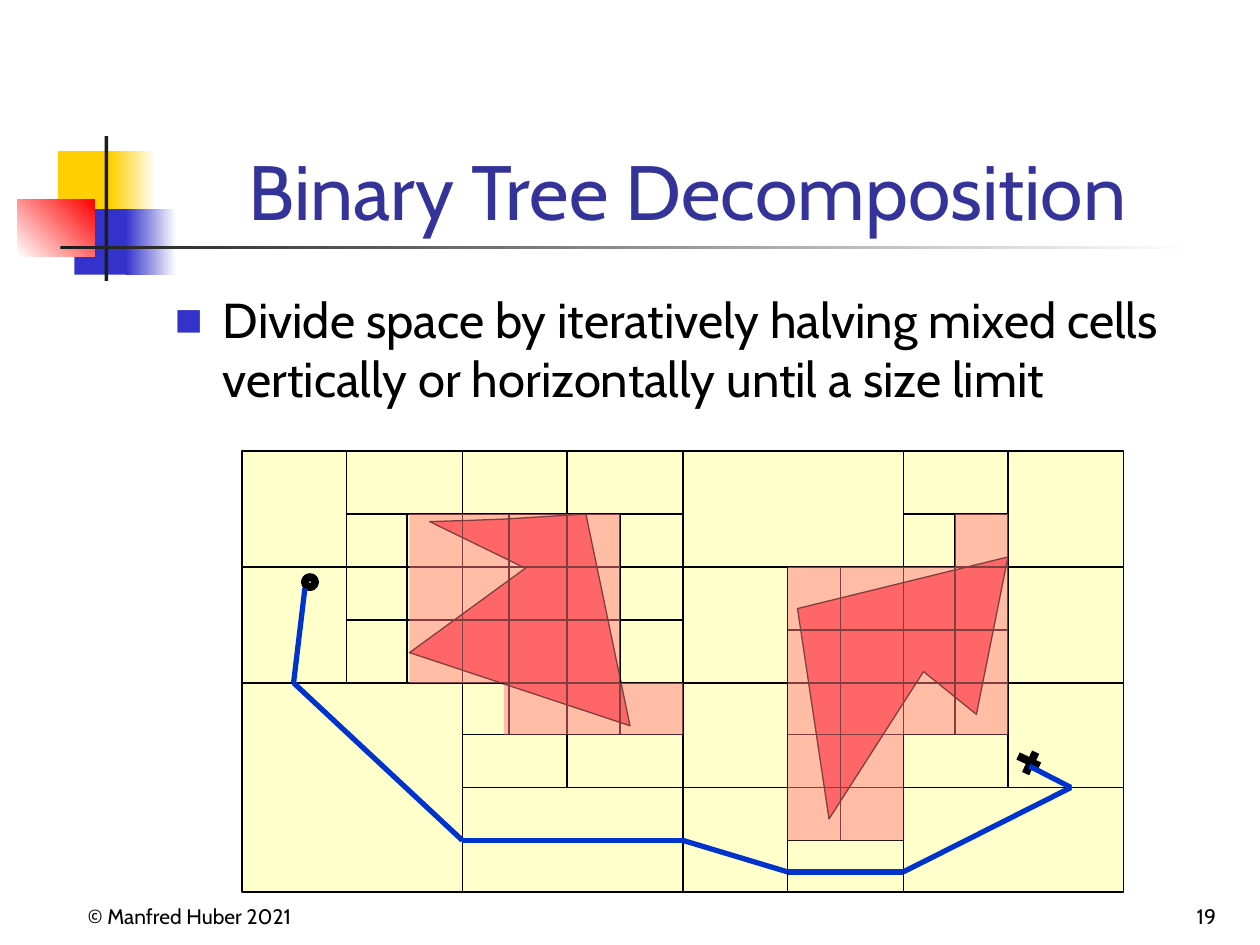
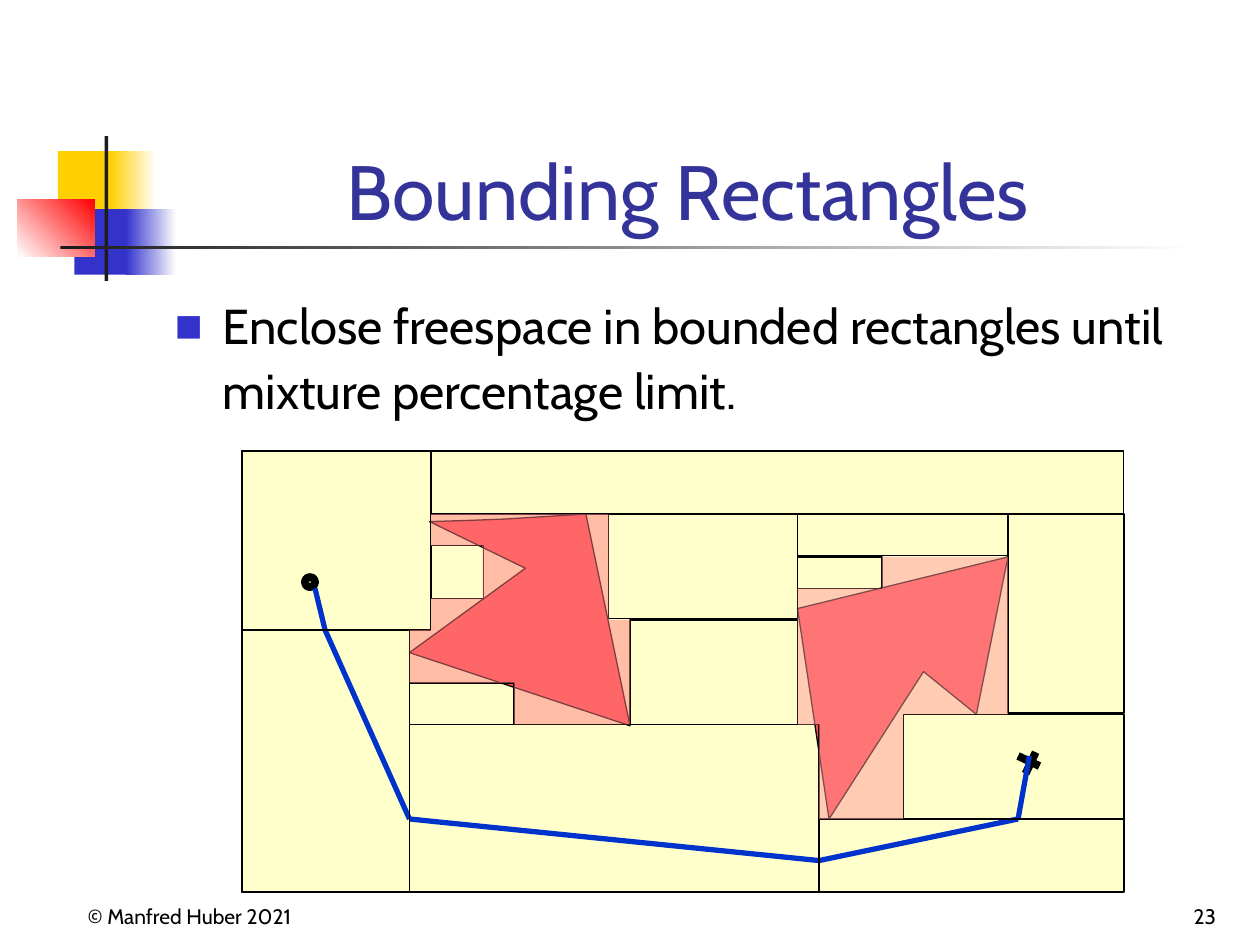
from itertools import pairwise

from lxml.etree import SubElement
from pptx import Presentation
from pptx.dml.color import RGBColor
from pptx.enum.shapes import MSO_CONNECTOR, MSO_SHAPE
from pptx.enum.text import MSO_ANCHOR, PP_ALIGN
from pptx.oxml.ns import qn
from pptx.util import Inches, Pt

FONT = "Cabin"
BLACK, WHITE, DARK = "000000", "FFFFFF", "1C1C1C"
GOLD, BLUE, RED = "FFCF01", "3333CC", "FF0000"
TITLE, ROUTE = "333399", "0033CC"
FREE, BLOCK = "FFFFCC", "FF5050"
THIN, ROUTE_WIDTH, MARK_WIDTH = 0.75, 3, 4.5

# Map edges and the two obstacles
LEFT, TOP, RIGHT, BASE = 1.92, 3.58, 8.92, 7.08
NOTCHED = [(4.65, 4.08), (4, 4.12), (3.74, 4.13), (3.41, 4.14),
           (4.17, 4.51), (3.25, 5.18), (5, 5.76)]
HOOKED = [(6.33, 4.83), (6.58, 6.5), (7.33, 5.33), (7.75, 5.67), (8, 4.42)]

# Cell borders: a fixed coordinate, then the stops along the line
COLUMNS = [
    (5.42, [TOP, BASE]),
    (3.67, [TOP, 5.42, BASE]),
    (7.17, [TOP, 5.42, BASE]),
    (2.75, [TOP, 4.5, 5.42]),
    (4.5, [TOP, 4.5, 5.42, 6.25]),
    (6.25, [4.5, 5.42, 6.25, BASE]),
    (8, [TOP, 4.5, 5.42, 6.25]),
    (3.23, [4.08, 4.5, 4.92, 5.42]),
    (4.04, [4.08, 4.5, 4.92, 5.42, 5.83]),
    (4.92, [4.08, 4.5, 4.92, 5.42, 5.83]),
    (6.67, [4.5, 5, 5.42, 5.83, 6.25, 6.67]),
    (7.58, [4.08, 4.5, 5, 5.42, 5.83]),
]
ROWS = [
    (5.42, [LEFT, 5.42, RIGHT]),
    (4.5, [LEFT, 3.67, 5.42, 7.17, RIGHT]),
    (6.25, [3.67, 5.42, 7.17, RIGHT]),
    (4.08, [2.75, 3.67, 4.5, 5.42]),
    (4.08, [7.17, 8]),
    (4.92, [2.75, 3.67, 4.5, 5.42]),
    (5.83, [3.67, 4.5, 5.42]),
    (5.83, [6.25, 7.17, 8]),
    (5, [6.25, 7.17, 8]),
    (6.67, [6.25, 7.17]),
]
TREE_MIXED = [
    [(3.25, 4.08), (4.92, 4.08), (4.92, 5.42), (5.42, 5.42),
     (5.42, 5.83), (4, 5.83), (4, 5.42), (3.25, 5.42)],
    [(6.25, 4.5), (7.58, 4.5), (7.58, 4.08), (8, 4.08),
     (8, 5.83), (7.17, 5.83), (7.17, 6.67), (6.25, 6.67)],
]
TREE_ROUTE = [(2.42, 4.67), (2.33, 5.42), (3.67, 6.67), (5.42, 6.67),
              (6.25, 6.92), (7.17, 6.92), (8.5, 6.25), (8.17, 6.08)]

BOXES = [
    (3.42, TOP, 5.5, 0.5), (LEFT, TOP, 1.5, 1.42), (LEFT, 5, 1.33, 2.08),
    (3.25, 5.75, 3.25, 1.33), (4.83, 4.08, 1.5, 0.83),
    (5, 4.92, 1.33, 0.83), (6.5, 6.5, 2.42, 0.58),
    (7.17, 5.67, 1.75, 0.83), (8, 4.08, 0.92, 1.58),
    (6.33, 4.08, 1.67, 0.33), (3.42, 4.33, 0.42, 0.42),
    (6.33, 4.42, 0.67, 0.25), (3.25, 5.42, 0.83, 0.33),
]
BOX_MIXED = [
    ("FF7C80", [(3.42, 4.08), (4.83, 4.08), (4.83, 4.92), (5, 4.92),
                (5, 5.75), (4.08, 5.75), (4.08, 5.42), (3.25, 5.42),
                (3.25, 5), (3.42, 5), (3.42, 4.75), (3.83, 4.75),
                (3.83, 4.33), (3.42, 4.33)]),
    ("FF9999", [(6.33, 4.67), (7, 4.67), (7, 4.42), (8, 4.42), (8, 5.67),
                (7.17, 5.67), (7.17, 6.5), (6.5, 6.5), (6.5, 5.75),
                (6.33, 5.75)]),
]
BOX_ROUTE = [(2.5, 4.67), (2.58, 5), (3.25, 6.5), (6.5, 6.83),
             (8.08, 6.5), (8.17, 6)]


def paint(color, tone):
    color.rgb = RGBColor.from_string(tone)


class Deck:
    """Holds the file, the shared style and the current slide."""

    def __init__(self):
        self.file = Presentation()
        self.file.slide_width, self.file.slide_height = Inches(10), Inches(7.5)

    def start(self, title, body, number, spacing=1.0):
        """Open a slide with the shared band, footers, title and bullet."""
        self.slide = self.file.slides.add_slide(self.file.slide_layouts[6])
        self.shapes = self.slide.shapes
        self.band()
        self.text("© Manfred Huber 2021", (0.33, 6.92, 2.08, 0.5),
                  align=PP_ALIGN.RIGHT)
        self.text(number, (7.42, 6.92, 2.33, 0.5), align=PP_ALIGN.RIGHT)
        self.text(title, (1.42, 0.67, 8.08, 1.25), size=44, tone=TITLE,
                  align=PP_ALIGN.CENTER)
        item = self.text(body, (1.29, 2.25, 8.5, 1.5), size=28,
                         anchor=MSO_ANCHOR.TOP)
        item.line_spacing, item.space_before = spacing, Pt(7)
        self.bullet(item)

    def band(self):
        self.shape((0.46, 1.2, 0.48, 0.52), fill=GOLD)
        self.shape((0.88, 1.2, 0.36, 0.52), fade=(GOLD, WHITE))
        self.shape((0.59, 1.66, 0.46, 0.52), fill=BLUE)
        self.shape((1, 1.66, 0.4, 0.52), fade=(BLUE, WHITE))
        self.shape((0.14, 1.58, 0.61, 0.46), fade=(WHITE, RED), angle=45)
        self.shape((0.83, 1.08, 0.03, 1.15), fill=DARK)
        self.shape((0.48, 1.95, 9, 0.03), fade=(DARK, WHITE))

    def text(self, words, box, size=12, tone=BLACK, align=PP_ALIGN.LEFT,
             anchor=MSO_ANCHOR.BOTTOM):
        frame = self.shapes.add_textbox(*map(Inches, box)).text_frame
        frame.word_wrap, frame.vertical_anchor = True, anchor
        line = frame.paragraphs[0]
        line.alignment = align
        run = line.add_run()
        run.text = words
        run.font.name, run.font.size = FONT, Pt(size)
        paint(run.font.color, tone)
        return line

    def bullet(self, line):
        props = line._p.get_or_add_pPr()
        props.set("marL", str(Inches(0.38)))
        props.set("indent", str(-Inches(0.38)))
        color = SubElement(props, qn("a:buClr"))
        SubElement(color, qn("a:srgbClr"), val=BLUE)
        SubElement(props, qn("a:buSzPct"), val="60000")
        SubElement(props, qn("a:buFont"), typeface=FONT)
        SubElement(props, qn("a:buChar"), char="■")

    def dress(self, shape, fill=None, line=None, width=THIN, alpha=None):
        """Set fill and outline; alpha is the opacity in percent."""
        shape.shadow.inherit = False
        if fill:
            shape.fill.solid()
            paint(shape.fill.fore_color, fill)
        else:
            shape.fill.background()
        if alpha:
            for color in shape._element.spPr.iter(qn("a:srgbClr")):
                SubElement(color, qn("a:alpha"), val=str(alpha * 1000))
        if line:
            paint(shape.line.color, line)
            shape.line.width = Pt(width)
        else:
            shape.line.fill.background()

    def shape(self, box, kind=MSO_SHAPE.RECTANGLE, fade=None, angle=0, **look):
        shape = self.shapes.add_shape(kind, *map(Inches, box))
        self.dress(shape, **look)
        if fade:
            shape.fill.gradient()
            shape.fill.gradient_angle = angle
            for stop, tone in zip(shape.fill.gradient_stops, fade):
                paint(stop.color, tone)

    def outline(self, points, **look):
        first, *rest = [(Inches(x), Inches(y)) for x, y in points]
        pen = self.shapes.build_freeform(*first)
        pen.add_line_segments(rest, close=True)
        self.dress(pen.convert_to_shape(), **look)

    def chain(self, points, tone=BLACK, width=THIN):
        """Join each point to the next with a straight line."""
        for start, end in pairwise(points):
            line = self.shapes.add_connector(
                MSO_CONNECTOR.STRAIGHT, *map(Inches, start + end))
            paint(line.line.color, tone)
            line.line.width = Pt(width)
            SubElement(line._element.spPr, qn("a:effectLst"))

    def scene(self):
        """Draw the map with its obstacles, start ring and goal cross."""
        self.shape((LEFT, TOP, RIGHT - LEFT, BASE - TOP), fill=FREE, line=BLACK)
        for points in (NOTCHED, HOOKED):
            self.outline(points, fill=BLOCK, line=BLACK)
        self.shape((2.42, 4.58, 0.08, 0.08), MSO_SHAPE.OVAL, fill=FREE,
                   line=BLACK, width=MARK_WIDTH)
        for stroke in ([(8.08, 6), (8.25, 6.08)], [(8.14, 6.14), (8.22, 5.97)]):
            self.chain(stroke, width=MARK_WIDTH)

    def route(self, points):
        self.chain(points, ROUTE, ROUTE_WIDTH)


def main():
    deck = Deck()

    deck.start("Binary Tree Decomposition",
               "Divide space by iteratively halving mixed cells vertically "
               "or horizontally until a size limit", "19")
    deck.scene()
    for x, stops in COLUMNS:
        deck.chain([(x, y) for y in stops])
    for y, stops in ROWS:
        deck.chain([(x, y) for x in stops])
    for points in TREE_MIXED:
        deck.outline(points, fill="FF7C80", alpha=50)
    deck.route(TREE_ROUTE)

    deck.start("Bounding Rectangles",
               "Enclose freespace in bounded rectangles until mixture "
               "percentage limit.", "23", spacing=1.1)
    deck.scene()
    deck.route(BOX_ROUTE)
    for box in BOXES:
        deck.shape(box, line=BLACK)
    for tone, points in BOX_MIXED:
        deck.outline(points, fill=tone, alpha=50)

    deck.file.save("out.pptx")


if __name__ == "__main__":
    main()
